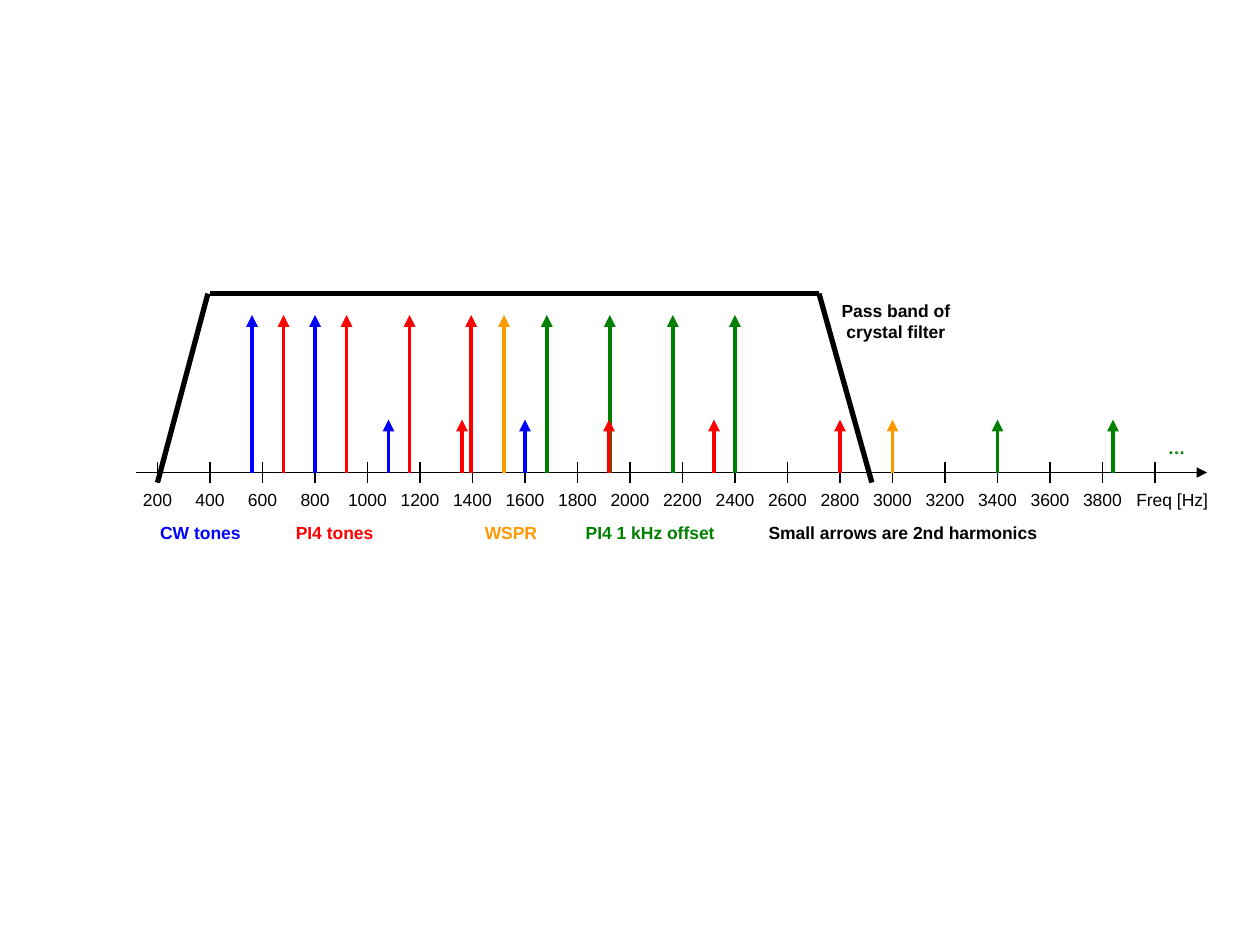
"""Draw the spectrum of CW, PI4 and WSPR tones inside a crystal filter pass band."""
from dataclasses import dataclass

from lxml.etree import SubElement
from pptx import Presentation
from pptx.dml.color import RGBColor
from pptx.enum.shapes import MSO_CONNECTOR as Connector
from pptx.enum.text import MSO_AUTO_SIZE as AutoSize, PP_ALIGN as Align
from pptx.oxml.ns import qn
from pptx.slide import Slide
from pptx.util import Inches, Pt

COLORS = {
    "black": "000000",
    "cw": "0000FF",
    "pi4": "FF0000",
    "wspr": "FF9900",
    "offset": "008000",
}
AXIS_Y = 3.75
TICK_HALF = 0.08
TICK_BOTTOM = AXIS_Y + TICK_HALF
BAND_TOP = 2.33
TONE_TOP = 2.5
HARMONIC_TOP = 3.33
LEGEND_Y = 4.09
LINE_HEIGHT = 0.27


@dataclass(frozen=True)
class Stroke:
    start: tuple[float, float]
    end: tuple[float, float]
    color: str = "black"
    width: float = 0.75
    arrow: bool = False


@dataclass(frozen=True)
class Signal:
    color: str
    top: float
    frequencies: tuple[int, ...]


@dataclass(frozen=True)
class Label:
    text: str
    left: float
    top: float
    width: float
    color: str = "black"
    bold: bool = True
    align: Align = Align.CENTER
    height: float = LINE_HEIGHT


SIGNALS = [
    Signal("pi4", TONE_TOP, (680, 920, 1160, 1395)),
    Signal("cw", TONE_TOP, (560, 800)),
    Signal("cw", HARMONIC_TOP, (1600, 1080)),
    Signal("offset", TONE_TOP, (1683, 1923, 2163, 2400)),
    Signal("pi4", HARMONIC_TOP, (1920, 1360, 2800, 2320)),
    Signal("wspr", TONE_TOP, (1520,)),
    Signal("wspr", HARMONIC_TOP, (3000,)),
    Signal("offset", HARMONIC_TOP, (3840, 3400)),
]
PASS_BAND = [
    Stroke((1.25, TICK_BOTTOM), (1.65, BAND_TOP), width=3),
    Stroke((6.92, TICK_BOTTOM), (6.5, BAND_TOP), width=3),
    Stroke((1.67, BAND_TOP), (6.5, BAND_TOP), width=3),
]
LABELS = [
    Label("CW tones", 1.15, LEGEND_Y, 0.88, "cw"),
    Label("PI4 tones", 2.23, LEGEND_Y, 0.85, "pi4"),
    Label("WSPR", 3.73, LEGEND_Y, 0.65, "wspr"),
    Label("PI4 1 kHz offset", 4.53, LEGEND_Y, 1.26, "offset"),
    Label("Small arrows are 2nd harmonics", 5.98, LEGEND_Y, 2.37),
    Label("Pass band of\ncrystal filter", 6.56, BAND_TOP, 1.1, height=0.44),
    Label("…", 9.17, 3.42, 0.36, "offset", align=Align.LEFT),
    Label("Freq [Hz]", 8.92, TICK_BOTTOM, 0.8, bold=False, align=Align.LEFT),
]


def frequency_x(frequency: int) -> float:
    """Return the horizontal place of a frequency in inches."""
    return 1.25 + (frequency - 200) / 480


def draw_stroke(slide: Slide, stroke: Stroke) -> None:
    """Draw a straight line, with an arrowhead at its end if asked."""
    ends = [Inches(value) for value in (*stroke.start, *stroke.end)]
    connector = slide.shapes.add_connector(Connector.STRAIGHT, *ends)
    connector.line.color.rgb = RGBColor.from_string(COLORS[stroke.color])
    connector.line.width = Pt(stroke.width)
    properties = connector.element.spPr
    if stroke.arrow:
        SubElement(properties.find(qn("a:ln")), qn("a:tailEnd"), type="triangle")
    SubElement(properties, qn("a:effectLst"))


def draw_label(slide: Slide, label: Label) -> None:
    """Draw a text label that does not wrap."""
    place = (label.left, label.top, label.width, label.height)
    frame = slide.shapes.add_textbox(*map(Inches, place)).text_frame
    frame.word_wrap = False
    frame.auto_size = AutoSize.SHAPE_TO_FIT_TEXT
    frame.text = label.text
    for paragraph in frame.paragraphs:
        paragraph.alignment = label.align
        for run in paragraph.runs:
            run.font.name = "Arial"
            run.font.size = Pt(10)
            run.font.bold = label.bold
            run.font.color.rgb = RGBColor.from_string(COLORS[label.color])


def draw_axis(slide: Slide) -> None:
    """Draw the frequency axis with its ticks and their values."""
    draw_stroke(slide, Stroke((1.08, AXIS_Y), (9.58, AXIS_Y), arrow=True))
    for frequency in range(200, 4001, 200):
        x = frequency_x(frequency)
        draw_stroke(slide, Stroke((x, AXIS_Y - TICK_HALF), (x, TICK_BOTTOM)))
        if frequency < 4000:
            width = 0.45 if frequency < 1000 else 0.53
            left = x - width / 2
            draw_label(slide, Label(str(frequency), left, TICK_BOTTOM, width, bold=False))


def draw_signal(slide: Slide, signal: Signal) -> None:
    """Draw one upright arrow for each frequency of a signal."""
    for frequency in signal.frequencies:
        x = frequency_x(frequency)
        draw_stroke(slide, Stroke((x, AXIS_Y), (x, signal.top), signal.color, 2.25, True))


def main() -> None:
    """Build and save the slide."""
    presentation = Presentation()
    presentation.slide_width = Inches(10)
    presentation.slide_height = Inches(7.5)
    slide = presentation.slides.add_slide(presentation.slide_layouts[6])
    draw_axis(slide)
    for stroke in PASS_BAND:
        draw_stroke(slide, stroke)
    for signal in SIGNALS:
        draw_signal(slide, signal)
    for label in LABELS:
        draw_label(slide, label)
    presentation.save("out.pptx")


if __name__ == "__main__":
    main()
